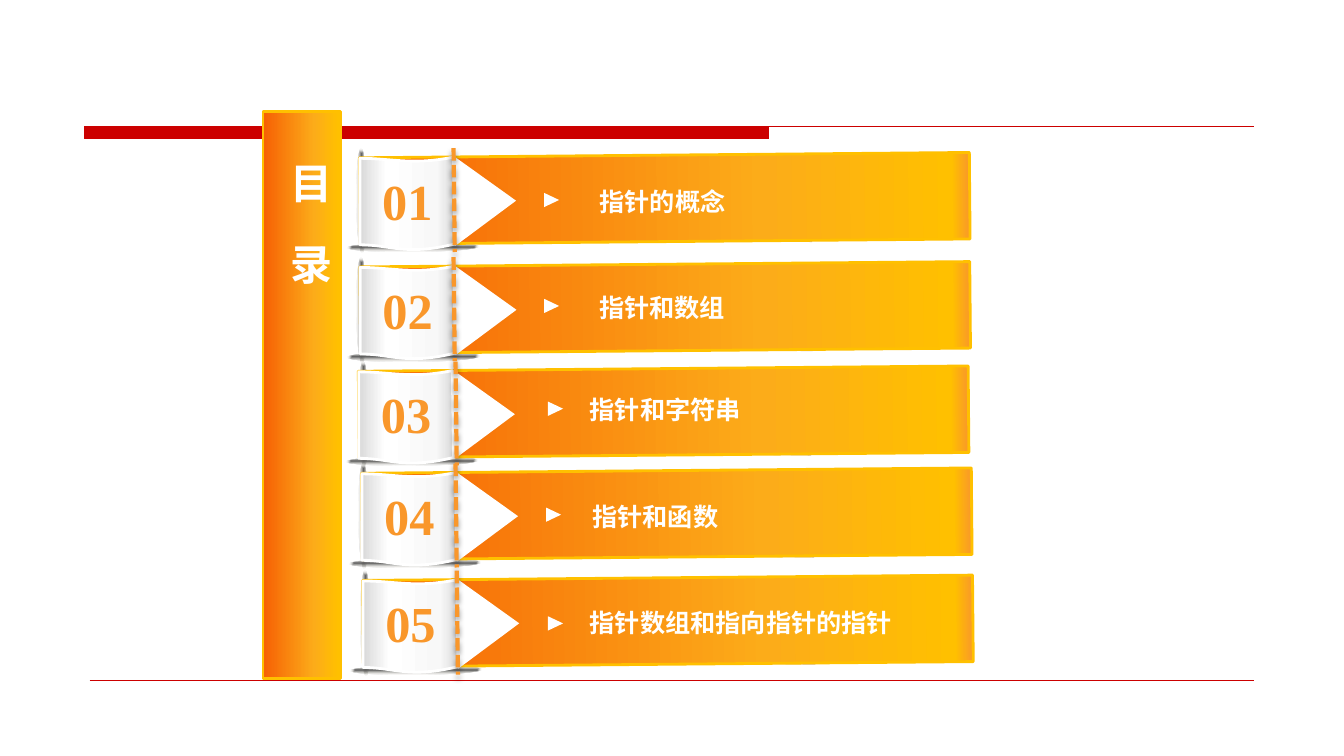
from lxml import etree
from pptx import Presentation
from pptx.dml.color import RGBColor
from pptx.enum.dml import MSO_LINE
from pptx.enum.shapes import MSO_CONNECTOR, MSO_SHAPE
from pptx.enum.text import MSO_ANCHOR, MSO_AUTO_SIZE, PP_ALIGN
from pptx.oxml.ns import qn
from pptx.util import Cm, Pt

RECT, OVAL, TRIANGLE = MSO_SHAPE.RECTANGLE, MSO_SHAPE.OVAL, MSO_SHAPE.ISOSCELES_TRIANGLE
STRAIGHT, DASH = MSO_CONNECTOR.STRAIGHT, MSO_LINE.SQUARE_DOT
LEFT, CENTER = PP_ALIGN.LEFT, PP_ALIGN.CENTER
TOP, NO_FIT = MSO_ANCHOR.TOP, MSO_AUTO_SIZE.NONE

FONT = "Times New Roman"
RED = RGBColor(0xCC, 0x00, 0x00)
WHITE = RGBColor(0xFF, 0xFF, 0xFF)
BLACK = RGBColor(0x00, 0x00, 0x00)
ORANGE = RGBColor(0xF9, 0x97, 0x2B)
GOLD = RGBColor(0xFF, 0xC0, 0x00)
BROWN = RGBColor(0x90, 0x4E, 0x1C)
DEEP_ORANGE = RGBColor(0xF6, 0x60, 0x04)
AMBER = RGBColor(0xFC, 0xAC, 0x19)
SILVER = RGBColor(0xD9, 0xD9, 0xD9)
PALE = RGBColor(0xF8, 0xF8, 0xF8)
GREY = RGBColor(0x59, 0x59, 0x59)
CREAM = RGBColor(0xEE, 0xEC, 0xE1)

# Gradient stops: position, colour, opacity (percent)
FLAME = [(0, DEEP_ORANGE, 100), (66, AMBER, 100), (97, GOLD, 100), (100, ORANGE, 100)]
PAPER = [(0, SILVER, 100), (28, WHITE, 100), (81, PALE, 100), (100, SILVER, 100)]
SMUDGE = [(0, GREY, 100), (100, CREAM, 0)]

# Row offset (x, y), spine x offset, marker (x, y), caption (x, y, width), caption
ROWS = [
    ((0, 0), 0, (13.72, 4.85), (13.89, 4.72, 5.61), "指针的概念"),
    ((0.01, 2.75), 0, (13.72, 7.52), (13.89, 7.39, 5.59), "指针和数组"),
    ((-0.03, 5.38), 0.05, (13.82, 10.11), (13.97, 9.96, 5.59), "指针和字符串"),
    ((0.05, 7.95), 0.05, (13.77, 12.78), (13.72, 12.65, 5.59), "指针和函数"),
    ((0.08, 10.65), 0.08, (13.82, 15.52), (14.1, 15.32, 9.14), "指针数组和指向指针的指针"),
]


def add_color(parent, color, opacity=100):
    clr = etree.SubElement(parent, qn("a:srgbClr"), val=str(color))
    if opacity < 100:
        etree.SubElement(clr, qn("a:alpha"), val=str(opacity * 1000))


def add_effect(sp, name, **attrs):
    """Give the shape an effect list holding one effect and return that effect."""
    spPr = sp._element.spPr
    for old in spPr.findall(qn("a:effectLst")):
        spPr.remove(old)
    effects = etree.SubElement(spPr, qn("a:effectLst"))
    return etree.SubElement(effects, qn(name), attrs)


def gradient(stops, radial):
    grad = etree.Element(qn("a:gradFill"), rotWithShape="1")
    gs_list = etree.SubElement(grad, qn("a:gsLst"))
    for pos, color, opacity in stops:
        gs = etree.SubElement(gs_list, qn("a:gs"), pos=str(pos * 1000))
        add_color(gs, color, opacity)
    if radial:
        way = etree.SubElement(grad, qn("a:path"), {"path": "shape"})
        etree.SubElement(way, qn("a:fillToRect"), l="50000", t="50000", r="50000", b="50000")
    else:
        etree.SubElement(grad, qn("a:lin"), ang="0", scaled="0")
    return grad


def paint(sp, fill, line=None, width=2, radial=False, opacity=100):
    """Fill with a colour or a list of gradient stops; outline if asked."""
    sp.shadow.inherit = False
    sp.fill.solid()
    solid = sp._element.spPr.find(qn("a:solidFill"))
    if isinstance(fill, list):
        solid.getparent().replace(solid, gradient(fill, radial))
    else:
        solid.clear()
        add_color(solid, fill, opacity)
    if line is None:
        sp.line.fill.background()
    else:
        sp.line.color.rgb = line
        sp.line.width = Pt(width)


def add_block(slide, kind, box, fill, rotation=0, **look):
    sp = slide.shapes.add_shape(kind, *map(Cm, box))
    sp.rotation = rotation
    paint(sp, fill, **look)


def start_outline(slide, points, offset=(0, 0)):
    moved = [(Cm(x + offset[0]), Cm(y + offset[1])) for x, y in points]
    builder = slide.shapes.build_freeform(*moved[0])
    builder.add_line_segments(moved[1:], close=True)
    return builder


def bend(sp, kinds):
    """Turn the segments into curves (C, three points each) and lines (L)."""
    segments = iter(sp._element.findall(".//" + qn("a:lnTo")))
    for kind in kinds:
        first = next(segments)
        if kind == "C":
            curve = etree.Element(qn("a:cubicBezTo"))
            first.addprevious(curve)
            for segment in (first, next(segments), next(segments)):
                curve.append(segment[0])
                segment.getparent().remove(segment)


def add_outline(slide, points, offset, fill, kinds="", **look):
    sp = start_outline(slide, points, offset).convert_to_shape()
    bend(sp, kinds)
    paint(sp, fill, **look)
    return sp


def add_header(slide):
    left, middle, right, top, bottom = 2.13, 19.38, 31.6, 3.2, 3.5
    builder = start_outline(slide, [(left, top), (middle, top), (middle, bottom), (left, bottom)])
    builder.move_to(Cm(left), Cm(top))
    builder.add_line_segments([(Cm(right), Cm(top))], close=False)
    paint(builder.convert_to_shape(), RED, line=RED, width=0.75)


def add_line(slide, start, end, color, width):
    cxn = slide.shapes.add_connector(STRAIGHT, *map(Cm, (*start, *end)))
    cxn.line.color.rgb = color
    cxn.line.width = Pt(width)
    etree.SubElement(cxn._element.spPr, qn("a:effectLst"))
    return cxn


def write(tf, text, size, color, align=CENTER):
    p = tf.paragraphs[0]
    p.alignment = align
    r = p.add_run()
    r.text = text
    for name, value in {"name": FONT, "size": Pt(size), "bold": True}.items():
        setattr(r.font, name, value)
    r.font.color.rgb = color
    return r


def add_label(slide, box, text, size, color):
    tf = slide.shapes.add_textbox(*map(Cm, box)).text_frame
    tf.word_wrap = True
    write(tf, text, size, color)
    tf.paragraphs[0].line_spacing = 0.8


def add_row(slide, number, offset, spine, marker, caption_box, caption):
    dx, dy = offset

    def shifted(x, y, *size):
        return (x + dx, y + dy, *size)

    add_outline(slide, [(9.47, 4.01), (20.37, 3.89), (20.47, 6.1), (9.47, 5.94)],
                offset, BROWN, opacity=43)
    add_block(slide, OVAL, (7.8 + spine, 4.93 + dy, 2.64, 0.25), SMUDGE, 89.5, radial=True)
    add_block(slide, OVAL, shifted(8.76, 6.12, 3.3, 0.23), SMUDGE, 359.5, radial=True)
    add_block(slide, RECT, shifted(9.07, 3.91, 15.37, 2.18), FLAME, 359.5, line=GOLD)

    sheet = [(9.07, 3.99), (9.86, 3.99), (10.39, 4.17), (11.43, 3.96),
             (11.46, 6.15), (10.19, 6.45), (9.88, 6.17), (9.07, 6.17)]
    add_outline(slide, sheet, offset, PAPER, "CLC", line=WHITE)
    fold = [(11.46, 3.99), (12.32, 4.34), (12.12, 4.29), (13.46, 5.05),
            (12.07, 5.82), (12.29, 5.94), (11.48, 6.15)]
    shade = add_outline(slide, fold, offset, BROWN, "CC")
    add_effect(shade, "a:softEdge", rad=str(Cm(0.35)))
    add_block(slide, TRIANGLE, shifted(11.1, 4.29, 2.26, 1.55), WHITE, 89.5)

    stitch = add_line(slide, (11.43 + spine, 3.73 + dy), (11.46 + spine, 6.35 + dy), ORANGE, 3)
    stitch.line.dash_style = DASH
    shadow = add_effect(stitch, "a:outerShdw", blurRad=str(Pt(4)), dist=str(Pt(3)),
                        dir="5400000")
    add_color(shadow, BLACK, 40)

    add_label(slide, shifted(9.25, 4.45, 2.03, 1.5), f"{number:02}", 36, ORANGE)
    add_block(slide, TRIANGLE, (*marker, 0.36, 0.38), WHITE, 90)
    add_label(slide, (*caption_box, 0.86), caption, 18, WHITE)


def add_vertical_title(slide):
    add_block(slide, RECT, (6.63, 2.82, 1.96, 14.27), FLAME, line=GOLD)
    title = slide.shapes.title
    place = {"left": 6.9, "top": 3.96, "width": 1.8, "height": 3.43}
    for name, value in place.items():
        setattr(title, name, Cm(value))
    tf = title.text_frame
    for name, value in {"vertical_anchor": TOP, "auto_size": NO_FIT, "word_wrap": False}.items():
        setattr(tf, name, value)
    tf._txBody.bodyPr.set("vert", "eaVert")
    r = write(tf, "目 录", 30, WHITE, LEFT)
    r.font._element.set("spc", "1050")
    slide.shapes._spTree.append(title._element)


def main():
    prs = Presentation()
    prs.slide_width, prs.slide_height = Cm(33.87), Cm(19.05)
    slide = prs.slides.add_slide(prs.slide_layouts[5])

    add_header(slide)
    add_line(slide, (2.26, 17.14), (31.6, 17.14), RED, 0.25)
    for number, row in enumerate(ROWS, 1):
        add_row(slide, number, *row)
    add_vertical_title(slide)

    prs.save("out.pptx")


if __name__ == "__main__":
    main()
